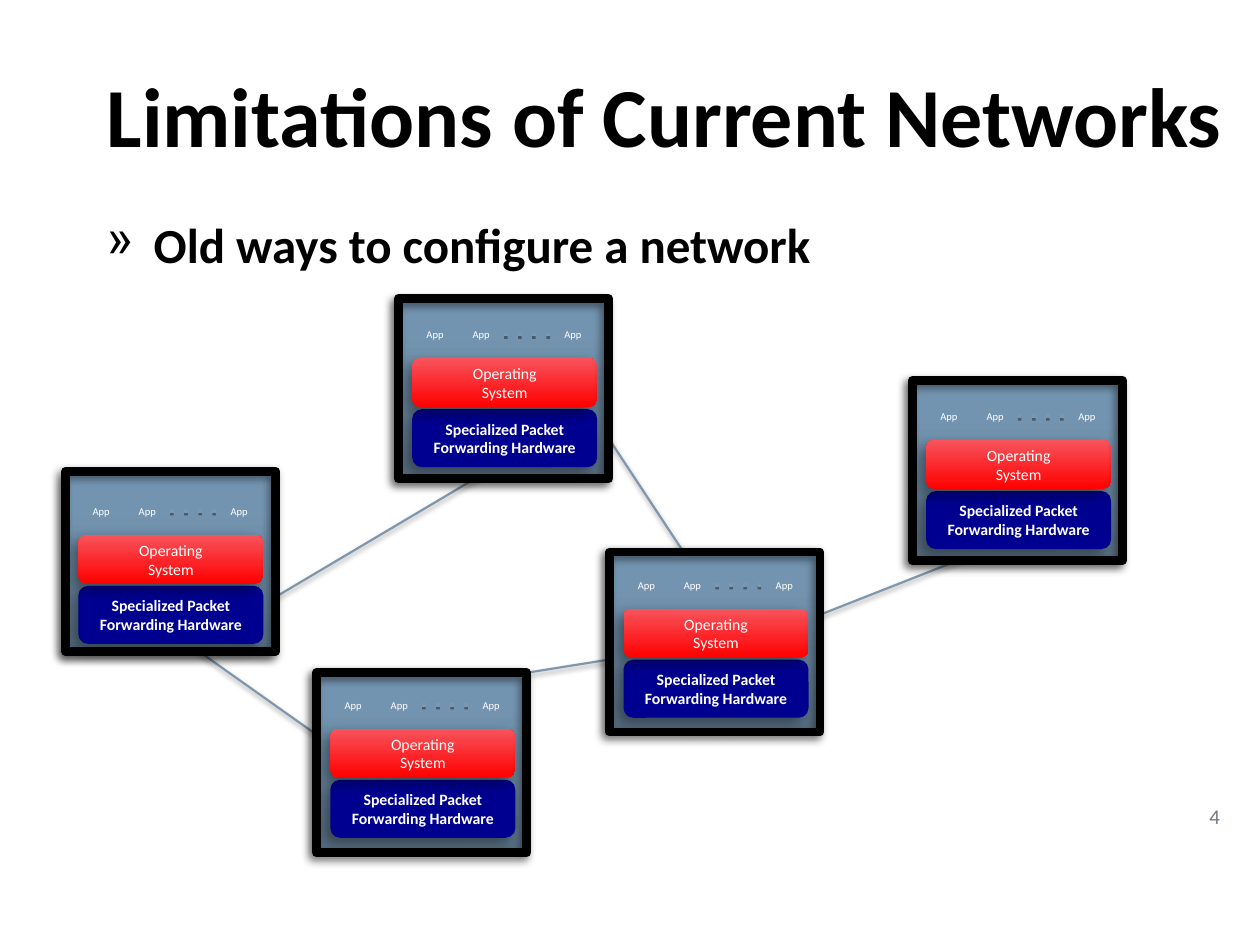
from dataclasses import dataclass

from lxml.etree import SubElement
from pptx import Presentation
from pptx.dml.color import RGBColor
from pptx.enum.shapes import MSO_CONNECTOR as Connector, MSO_SHAPE as Shape
from pptx.enum.text import MSO_ANCHOR as Anchor, PP_ALIGN as Align
from pptx.oxml.ns import qn
from pptx.util import Cm, Pt


@dataclass(frozen=True)
class Theme:
    font: str = "Calibri"
    black: str = "000000"
    white: str = "FFFFFF"
    muted: str = "727A81"
    link: str = "7E97AD"
    panel_line: str = "7A94AA"
    panel: tuple = (("597186", 0), ("7394B0", 0.8))
    system: tuple = (("FF0000", 0), ("F7545C", 1))
    hardware: str = "000090"
    title_size: int = 48
    body_size: int = 28
    number_size: int = 12
    label_size: int = 9
    app_size: int = 6
    box_shadow: tuple = (40, 8, 5, 135)
    frame_shadow: tuple = (45, 5, 3, 135)
    link_shadow: tuple = (38, 3.1, 1.6, 90)
    dots_shadow: tuple = (38, 0, 1.6, 90)


THEME = Theme()
NODE_SIZE = (4.24, 3.63)
BOX_LEFT, BOX_WIDTH = 0.28, 3.73
APP_LEFTS = (0.32, 1.25, 3.1)
NODES = [
    ((1.3, 9.58), (1.32, 9.5)),
    ((8.03, 6.02), (8.03, 6.02)),
    ((18.39, 7.67), (18.39, 7.67)),
    ((6.38, 13.49), (6.38, 13.56)),
    ((12.29, 11.07), (12.29, 11.13)),
]
LINKS = [
    ((5.46, 12.09), (10.13, 9.32)),
    ((12.27, 8.84), (14.4, 12.07)),
    ((9.32, 13.77), (13.13, 13.16)),
    ((3.4, 12.7), (6.38, 14.81)),
    ((16.08, 12.57), (20.07, 11.0)),
]


def write(shape, *lines, size, color=THEME.black, bold=False, align=Align.LEFT,
          anchor=Anchor.MIDDLE, inset=None, bullet=None, spacing=None):
    frame = shape.text_frame
    frame.word_wrap = True
    frame.vertical_anchor = anchor
    if inset is not None:
        frame.margin_left = frame.margin_right = Cm(inset)
        frame.margin_top = frame.margin_bottom = Cm(inset)
    frame.text = "\n".join(lines)
    for paragraph in frame.paragraphs:
        paragraph.alignment = align
        if spacing:
            paragraph.line_spacing = spacing
        if bullet:
            properties = paragraph._p.get_or_add_pPr()
            properties.set("marL", str(Cm(0.95)))
            properties.set("indent", str(-Cm(0.95)))
            SubElement(properties, qn("a:buChar")).set("char", bullet)
        for run in paragraph.runs:
            font = run.font
            font.name, font.size, font.bold = THEME.font, Pt(size), bold
            font.color.rgb = RGBColor.from_string(color)


class Canvas:
    def __init__(self, slide, theme):
        self.slide = slide
        self.theme = theme

    def cast_shadow(self, shape, strength, blur, distance, direction):
        effects = SubElement(shape._element.spPr, qn("a:effectLst"))
        shadow = SubElement(effects, qn("a:outerShdw"), blurRad=str(Pt(blur)),
                            dist=str(Pt(distance)), dir=str(direction * 60000),
                            algn="ctr", rotWithShape="0")
        color = SubElement(shadow, qn("a:srgbClr"), val=self.theme.black)
        SubElement(color, qn("a:alpha"), val=str(strength * 1000))

    def stroke(self, shape, color, width):
        shape.line.color.rgb = RGBColor.from_string(color)
        shape.line.width = Pt(width)

    def text(self, left, top, width, height, *lines, parent=None, **style):
        shapes = (parent or self.slide).shapes
        box = shapes.add_textbox(Cm(left), Cm(top), Cm(width), Cm(height))
        write(box, *lines, **style)

    def box(self, kind, left, top, width, height, shadow, fill=None, line=None):
        shape = self.slide.shapes.add_shape(kind, Cm(left), Cm(top), Cm(width), Cm(height))
        if fill is None:
            shape.fill.background()
        elif isinstance(fill, str):
            shape.fill.solid()
            shape.fill.fore_color.rgb = RGBColor.from_string(fill)
        else:
            shape.fill.gradient()
            shape.fill.gradient_angle = 90
            for stop, (color, position) in zip(shape.fill.gradient_stops, fill):
                stop.color.rgb = RGBColor.from_string(color)
                stop.position = position
        if line:
            self.stroke(shape, *line)
        else:
            shape.line.fill.background()
        self.cast_shadow(shape, *shadow)
        return shape

    def line(self, start, end, width, shadow, dash=None, parent=None):
        points = [Cm(value) for value in (*start, *end)]
        shapes = (parent or self.slide).shapes
        connector = shapes.add_connector(Connector.STRAIGHT, *points)
        self.stroke(connector, self.theme.link, width)
        if dash:
            outline = connector._element.spPr.find(qn("a:ln"))
            SubElement(outline, qn("a:prstDash"), val=dash)
        self.cast_shadow(connector, *shadow)

    def label_box(self, left, top, height, fill, *lines, bold=False):
        shape = self.box(Shape.ROUNDED_RECTANGLE, left, top, BOX_WIDTH, height,
                         self.theme.box_shadow, fill)
        write(shape, *lines, size=self.theme.label_size, color=self.theme.white,
              bold=bold, align=Align.CENTER)

    def apps(self, left, top):
        group = self.slide.shapes.add_group_shape()
        for offset in APP_LEFTS:
            self.text(left + offset, top + 0.29, 0.84, 0.86, "App", parent=group,
                      size=self.theme.app_size, color=self.theme.white,
                      align=Align.CENTER, inset=0)
        self.line((left + 2.13, top + 0.72), (left + 3.06, top + 0.72), 2,
                  self.theme.dots_shadow, "dot", group)

    def node(self, left, top):
        self.box(Shape.RECTANGLE, left, top, *NODE_SIZE, self.theme.frame_shadow,
                 self.theme.panel, (self.theme.panel_line, 0.75))
        self.label_box(left + BOX_LEFT, top + 2.23, 1.17, self.theme.hardware,
                       "Specialized Packet Forwarding Hardware", bold=True)
        self.label_box(left + BOX_LEFT, top + 1.2, 0.99, self.theme.system,
                       "Operating", "System")
        self.apps(left, top)

    def node_frame(self, left, top):
        self.box(Shape.RECTANGLE, left, top, *NODE_SIZE, self.theme.frame_shadow,
                 line=(self.theme.black, 5))


def main():
    presentation = Presentation()
    presentation.slide_width, presentation.slide_height = Cm(25.4), Cm(19.05)
    slide = presentation.slides.add_slide(presentation.slide_layouts[6])
    canvas = Canvas(slide, THEME)

    for start, end in LINKS:
        canvas.line(start, end, 1.25, THEME.link_shadow)
    canvas.text(1.9, 4.19, 20.75, 12.27, "Old ways to configure a network",
                size=THEME.body_size, bold=True, anchor=Anchor.TOP, bullet="»")
    canvas.text(1.9, 0.84, 23.7, 3.18, "Limitations of Current Networks",
                size=THEME.title_size, bold=True, spacing=0.9)
    for panel, _ in NODES:
        canvas.node(*panel)
    for _, frame in NODES:
        canvas.node_frame(*frame)
    canvas.text(24.13, 15.95, 1.07, 1.02, "4", size=THEME.number_size, color=THEME.muted)

    presentation.save("out.pptx")


if __name__ == "__main__":
    main()
